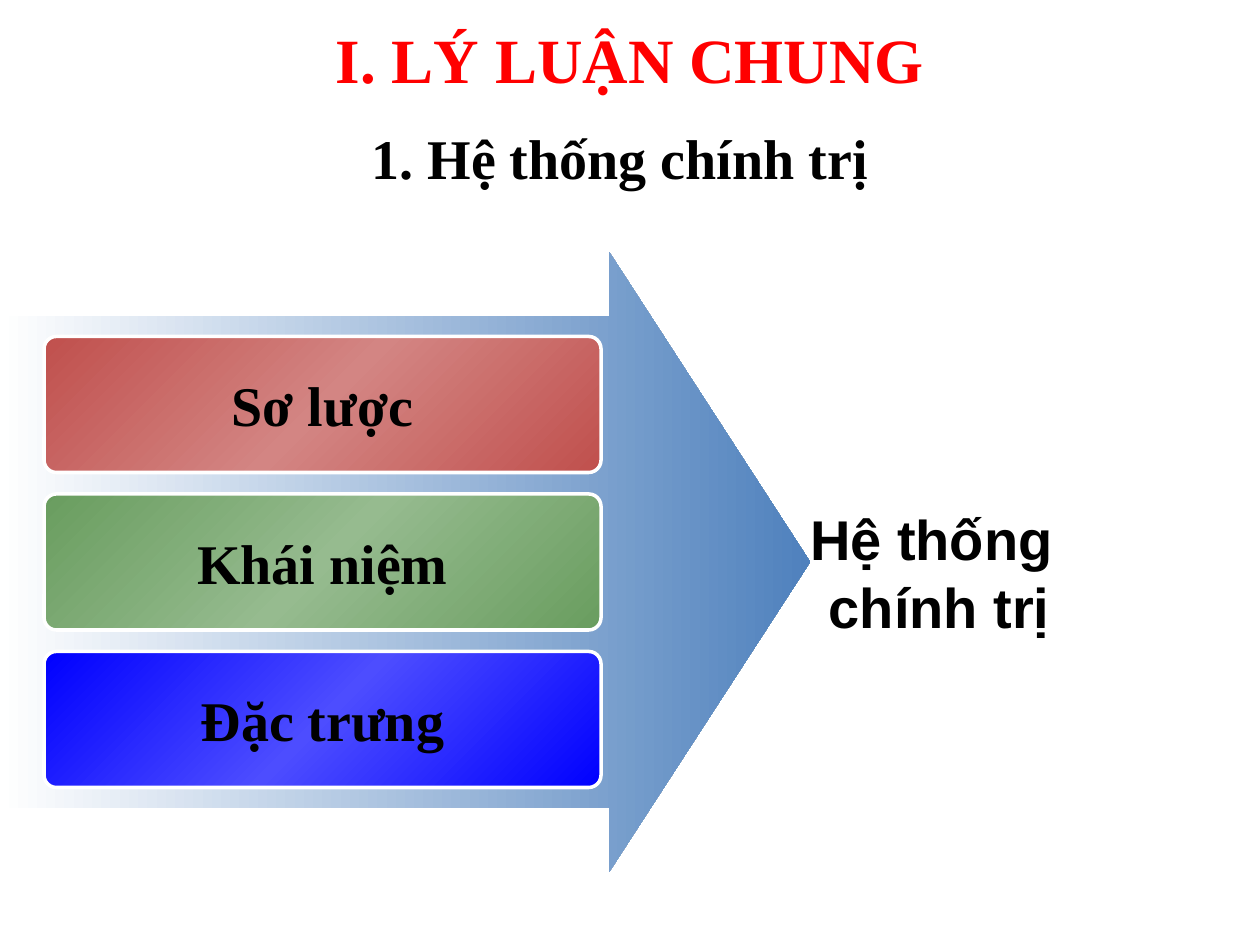
from lxml.etree import SubElement
from pptx import Presentation
from pptx.dml.color import RGBColor
from pptx.enum.shapes import MSO_SHAPE as Shape
from pptx.enum.text import MSO_ANCHOR as Anchor, PP_ALIGN as Align
from pptx.oxml.ns import qn
from pptx.util import Inches, Pt

BLACK = RGBColor(0x00, 0x00, 0x00)
WHITE = RGBColor(0xFF, 0xFF, 0xFF)
TITLE_RED = RGBColor(0xFF, 0x00, 0x00)
ARROW_BLUE = RGBColor(0x4F, 0x81, 0xBD)
RED, LIGHT_RED = RGBColor(0xC0, 0x50, 0x4D), RGBColor(0xD3, 0x85, 0x83)
GREEN, LIGHT_GREEN = RGBColor(0x69, 0x9D, 0x5F), RGBColor(0x96, 0xBB, 0x8F)
BLUE, LIGHT_BLUE = RGBColor(0x00, 0x00, 0xFF), RGBColor(0x4D, 0x4D, 0xFF)

SERIF, SANS = "Times New Roman", "Arial"
PAGE_WIDTH, PAGE_HEIGHT = 10, 7.5
TOPICS = [
    ("Sơ lược", RED, LIGHT_RED),
    ("Khái niệm", GREEN, LIGHT_GREEN),
    ("Đặc trưng", BLUE, LIGHT_BLUE),
]


def write(shape, lines, wrap=True, **changes):
    """Centre the lines of bold text in the shape."""
    frame = shape.text_frame
    frame.word_wrap = wrap
    frame.vertical_anchor = Anchor.MIDDLE
    style = {"name": SERIF, "size": Pt(32), "bold": True} | changes
    color = style.pop("color", BLACK)
    for index, line in enumerate(lines):
        para = frame.add_paragraph() if index else frame.paragraphs[0]
        para.alignment = Align.CENTER
        span = para.add_run()
        span.text = line
        for name, value in style.items():
            setattr(span.font, name, value)
        span.font.color.rgb = color


def fill_gradient(shape, colors, angle):
    """Spread the colours evenly, turning clockwise by angle degrees."""
    shape.fill.gradient()
    gradient = shape._element.spPr.find(qn("a:gradFill"))
    stops = gradient.find(qn("a:gsLst"))
    stops.clear()
    for index, color in enumerate(colors):
        position = 100000 * index // (len(colors) - 1)
        stop = SubElement(stops, qn("a:gs"), pos=str(position))
        SubElement(stop, qn("a:srgbClr"), val=str(color))
    gradient.find(qn("a:lin")).set("ang", str(angle * 60000))


def add_block(page, kind, box, adjustments):
    shape = page.shapes.add_shape(kind, *map(Inches, box))
    shape.shadow.inherit = False
    shape.line.fill.background()
    for index, value in enumerate(adjustments):
        shape.adjustments[index] = value
    return shape


def add_heading(page, box, text, **style):
    heading = page.shapes.add_textbox(*map(Inches, box))
    write(heading, [text], **style)


def add_topic_arrow(page, box):
    """Draw the arrow with the topic cards stacked evenly on its shaft."""
    left, top, width, height = box
    arrow = add_block(page, Shape.RIGHT_ARROW, box, (0.793, 0.324))
    fill_gradient(arrow, (WHITE, ARROW_BLUE), 0)

    row = 1.25
    card_height = 1.08
    first = top + (height - row * (len(TOPICS) - 1) - card_height) / 2
    for index, (text, edge, middle) in enumerate(TOPICS):
        card_box = (left + 0.35, first + index * row, width * 0.6875, card_height)
        card = add_block(page, Shape.ROUNDED_RECTANGLE, card_box, (0.091,))
        fill_gradient(card, (edge, middle, edge), 45)
        card.line.color.rgb = WHITE
        card.line.width = Pt(2)
        write(card, [text], wrap=False)


def add_result(page, box):
    label = add_block(page, Shape.ROUNDED_RECTANGLE, box, (0.091,))
    label.fill.background()
    write(label, ["Hệ thống ", "chính trị"], name=SANS)


def main():
    deck = Presentation()
    deck.slide_width, deck.slide_height = Inches(PAGE_WIDTH), Inches(PAGE_HEIGHT)
    page = deck.slides.add_slide(deck.slide_layouts[6])

    # Headings
    add_heading(page, (0, 0, PAGE_WIDTH, 0.92), "I. LÝ LUẬN CHUNG",
                size=Pt(36), color=TITLE_RED)
    add_heading(page, (0.42, 0.83, PAGE_WIDTH * 0.9, 0.83), "1. Hệ thống chính trị")

    # Topics leading to the result
    add_topic_arrow(page, (0, 2, 6.43, 4.92))
    add_result(page, (6.08, 3.83, 2.75, 1.42))

    deck.save("out.pptx")


if __name__ == "__main__":
    main()
